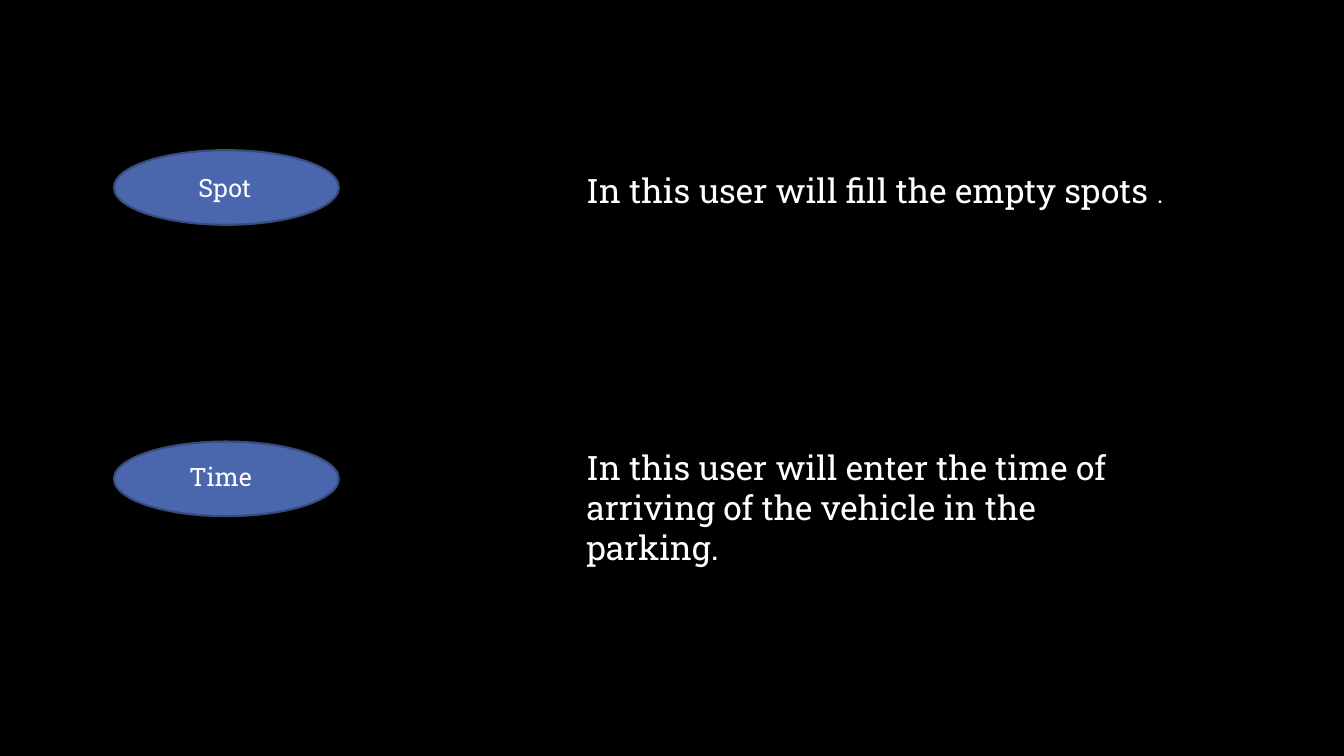
from pptx import Presentation
from pptx.dml.color import RGBColor
from pptx.enum.shapes import MSO_SHAPE
from pptx.util import Pt

ELLIPSE = MSO_SHAPE.OVAL
FONT = "Roboto Slab"
BLACK, WHITE = "000000", "FFFFFF"
BLUE, DARK_BLUE = "4A66AC", "374B7F"
LABEL_SIZE, BODY_SIZE = 18, 24


def paint(color_format, hex_color):
    color_format.rgb = RGBColor.from_string(hex_color)


def add_ellipse(page, left, top, width, height):
    ellipse = page.shapes.add_shape(ELLIPSE, Pt(left), Pt(top), Pt(width), Pt(height))
    ellipse.shadow.inherit = False
    ellipse.fill.solid()
    paint(ellipse.fill.fore_color, BLUE)
    paint(ellipse.line.color, DARK_BLUE)
    ellipse.line.width = Pt(1.5)


def add_text(page, left, top, width, height, *spans):
    """Add a one-paragraph text box; each span is a (text, size) pair."""
    box = page.shapes.add_textbox(Pt(left), Pt(top), Pt(width), Pt(height))
    box.text_frame.word_wrap = True
    para = box.text_frame.paragraphs[0]
    for text, size in spans:
        span = para.add_run()
        span.text = text
        span.font.name = FONT
        span.font.size = Pt(size)
        paint(span.font.color, WHITE)


def main():
    deck = Presentation()
    deck.slide_width, deck.slide_height = Pt(960), Pt(540)
    page = deck.slides.add_slide(deck.slide_layouts[6])
    page.background.fill.solid()
    paint(page.background.fill.fore_color, BLACK)

    for top in (107.3, 315.4):
        add_ellipse(page, 81.4, top, 160.6, 53.3)

    add_text(page, 134.6, 119.5, 95, 28.8, ("Spot", LABEL_SIZE))
    add_text(page, 411.8, 118.1, 458, 36,
             ("In this user will fill the empty spots ", BODY_SIZE), (".", LABEL_SIZE))
    add_text(page, 128.2, 326.2, 87.8, 28.8, ("Time", LABEL_SIZE))
    add_text(page, 411.8, 315.4, 388, 94.3,
             ("In this user will enter the time of arriving of the vehicle in the parking.",
              BODY_SIZE))

    deck.save("out.pptx")


if __name__ == "__main__":
    main()
